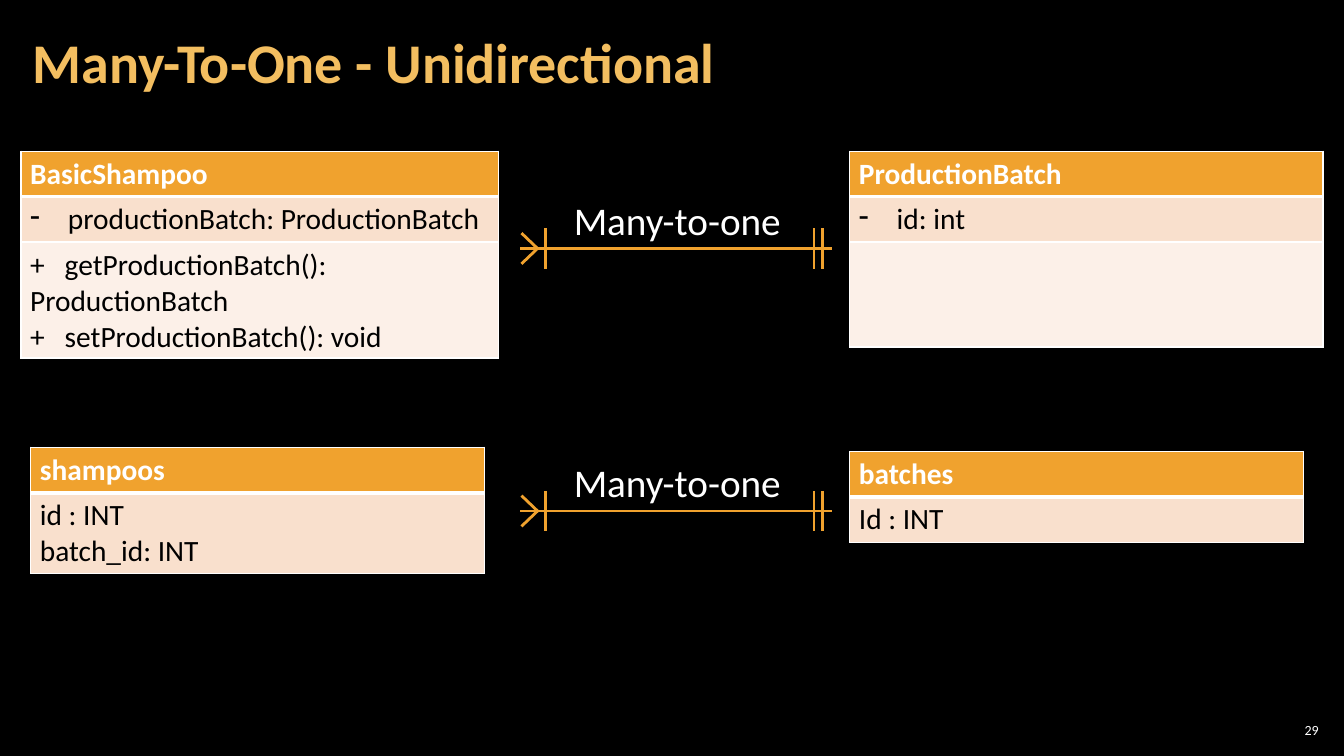
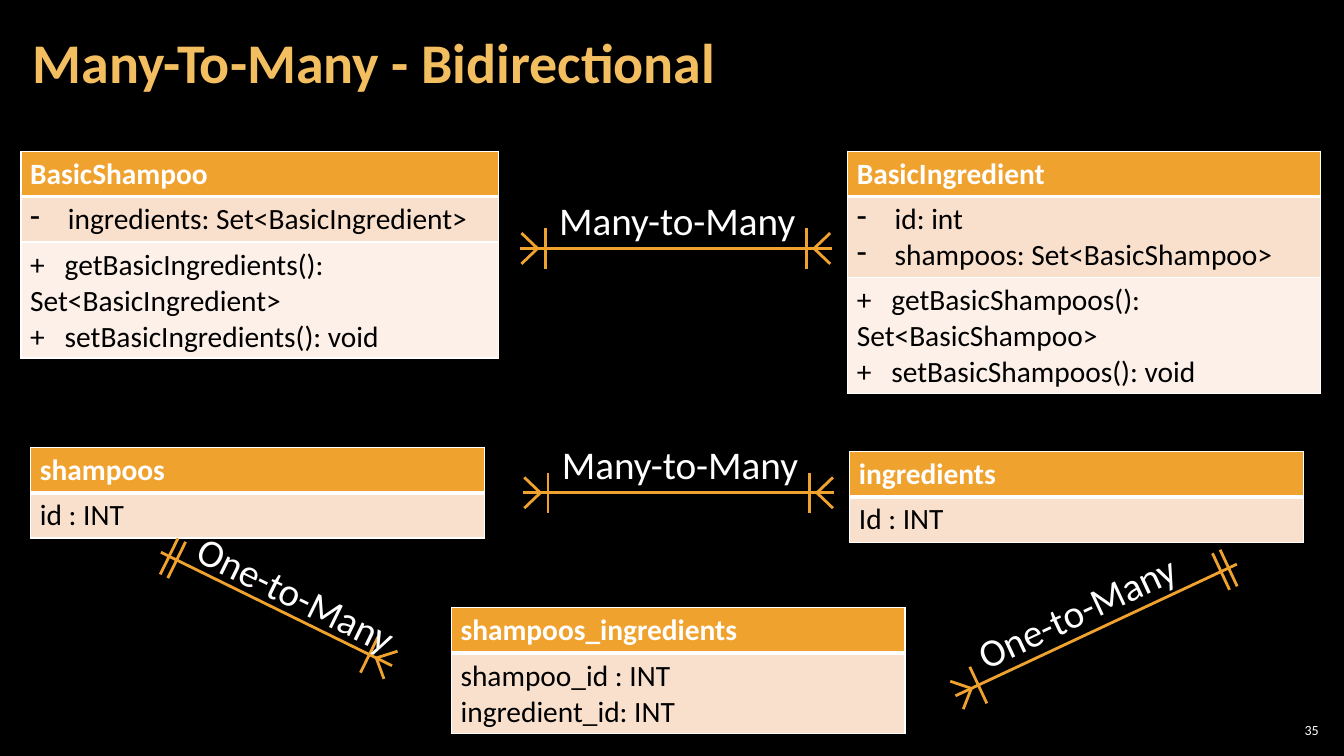
from math import atan2, cos, degrees, hypot, sin

from lxml.etree import SubElement
from pptx import Presentation
from pptx.dml.color import RGBColor
from pptx.enum.shapes import MSO_CONNECTOR as Connector
from pptx.enum.text import MSO_ANCHOR as Anchor, MSO_AUTO_SIZE as AutoSize, PP_ALIGN as Align
from pptx.oxml.ns import qn
from pptx.util import Pt

COLORS = {
    "background": "000000",
    "title": "F3BE60",
    "accent": "F0A22E",
    "fields": "F9E0CD",
    "methods": "FCF0E8",
    "light": "FFFFFF",
    "dark": "000000",
}
FONT = "Calibri"
ROW_FILLS = ("accent", "fields", "methods")
ROW_HEIGHTS = (30, 32.4, 75)


def rgb(name):
    return RGBColor.from_string(COLORS[name])


class Diagram:
    """Shared style and the slide being drawn; lengths are in points."""

    def __init__(self):
        self.deck = Presentation()
        self.deck.slide_width, self.deck.slide_height = Pt(960), Pt(540)
        backdrop = self.deck.slide_master.background.fill
        backdrop.solid()
        backdrop.fore_color.rgb = rgb("background")
        self.page = None

    def style(self, para, size, color, bold=False):
        font = para.font
        font.name, font.size, font.bold = FONT, Pt(size), bold
        font.color.rgb = rgb(color)

    def new_page(self, title, number):
        self.page = self.deck.slides.add_slide(self.deck.slide_layouts[5])
        box = self.page.shapes.title
        box.left, box.top, box.width, box.height = Pt(15), Pt(3), Pt(754), Pt(87)
        frame = box.text_frame
        frame.text = title
        frame.auto_size = AutoSize.NONE
        frame.vertical_anchor = Anchor.MIDDLE
        frame.margin_left = frame.margin_right = Pt(8.5)
        frame.margin_top = frame.margin_bottom = Pt(3)
        para = frame.paragraphs[0]
        para.alignment, para.line_spacing = Align.LEFT, 0.9
        self.style(para, 40, "title", True)
        self.text(str(number), 911, 514, 34, 15, 10, Align.RIGHT, 3)

    def text(self, words, left, top, width, height, size, align, margin):
        box = self.page.shapes.add_textbox(Pt(left), Pt(top), Pt(width), Pt(height))
        frame = box.text_frame
        frame.text = words
        frame.word_wrap = True
        frame.vertical_anchor = Anchor.MIDDLE
        frame.margin_left = frame.margin_right = Pt(margin)
        frame.margin_top = frame.margin_bottom = Pt(margin)
        para = frame.paragraphs[0]
        para.alignment = align
        self.style(para, size, "light")
        return box

    def line(self, start, end):
        points = [Pt(value) for value in (*start, *end)]
        link = self.page.shapes.add_connector(Connector.STRAIGHT, *points)
        link.line.color.rgb = rgb("accent")
        link.line.width = Pt(2)
        SubElement(link._element.spPr, qn("a:effectLst"))

    def entity(self, left, top, width, name, fields, methods=None):
        """A table with a name, fields and, for a class, its methods."""
        rows = [[name], fields] + ([] if methods is None else [methods])
        heights = ROW_HEIGHTS[:len(rows)]
        table = self.page.shapes.add_table(
            len(rows), 1, Pt(left), Pt(top), Pt(width), Pt(sum(heights))).table
        table.horz_banding = False
        for index, (lines, height) in enumerate(zip(rows, heights)):
            table.rows[index].height = Pt(height)
            cell = table.cell(index, 0)
            cell.margin_left = cell.margin_right = Pt(6.5)
            self.borders(cell, 3 if index == 1 else 1, 3 if index == 0 else 1)
            cell.fill.solid()
            cell.fill.fore_color.rgb = rgb(ROW_FILLS[index])
            for position, words in enumerate(lines):
                frame = cell.text_frame
                para = frame.add_paragraph() if position else frame.paragraphs[0]
                self.member(para, words)
                self.style(para, 21, "dark" if index else "light", index == 0)

    def member(self, para, words):
        """Turn a leading - into a bullet and set a tab after a leading +."""
        sign, _, rest = words.partition(" ")
        props = para._p.get_or_add_pPr()
        if sign == "-":
            props.set("marL", str(Pt(27)))
            props.set("indent", str(Pt(-27)))
            SubElement(props, qn("a:buChar"), char=sign)
            words = rest
        elif sign == "+":
            tabs = SubElement(props, qn("a:tabLst"))
            SubElement(tabs, qn("a:tab"), pos=str(Pt(24.75)), algn="l")
            words = f"{sign}\t{rest}"
        para.add_run().text = words

    def borders(self, cell, top, bottom):
        props = cell._tc.get_or_add_tcPr()
        for side, width in (("L", 1), ("R", 1), ("T", top), ("B", bottom)):
            edge = SubElement(props, qn(f"a:ln{side}"), w=str(Pt(width)))
            fill = SubElement(edge, qn("a:solidFill"))
            SubElement(fill, qn("a:srgbClr"), val=COLORS["light"])

    def relation(self, start, end, label, ends, shift=1, lift=20.5):
        """A crow's foot link, drawn left to right, with its label above."""
        (x1, y1), (x2, y2) = start, end
        length, angle = hypot(x2 - x1, y2 - y1), atan2(y2 - y1, x2 - x1)

        def spot(along, across):
            return (x1 + along * cos(angle) - across * sin(angle),
                    y1 + along * sin(angle) + across * cos(angle))

        self.line(start, end)
        for origin, inward, kind in zip((0, length), (1, -1), ends):
            for distance in (18,) if kind == "many" else (6.5, 12.5):
                along = origin + inward * distance
                self.line(spot(along, -14.4), spot(along, 14.4))
            if kind == "many":
                for side in (-11, 11):
                    self.line(spot(origin + inward * 12.5, 0), spot(origin + inward, side))
        x, y = spot(length / 2 + shift, -lift)
        box = self.text(label, x - 100, y - 20.5, 200, 41, 28, Align.CENTER, 3.6)
        box.rotation = degrees(angle)


def main():
    diagram = Diagram()
    many_to_one, many_to_many, one_to_many = ("many", "one"), ("many", "many"), ("one", "many")

    # Many-to-one: classes above, database tables below
    diagram.new_page("Many-To-One - Unidirectional", 29)
    diagram.entity(15, 108, 341, "BasicShampoo", ["- productionBatch: ProductionBatch"],
                   ["+ getProductionBatch(): ProductionBatch", "+ setProductionBatch(): void"])
    diagram.entity(607, 108, 338, "ProductionBatch", ["- id: int"], [])
    diagram.entity(22, 319.5, 324, "shampoos", ["id : INT", "batch_id: INT"])
    diagram.entity(607, 322.5, 324, "batches", ["Id : INT"])
    for y in (177.5, 365):
        diagram.relation((371.5, y), (594, y), "Many-to-one", many_to_one)

    # Many-to-many: classes above, database tables and join table below
    diagram.new_page("Many-To-Many - Bidirectional", 35)
    diagram.entity(15, 108, 341, "BasicShampoo", ["- ingredients: Set<BasicIngredient>"],
                   ["+ getBasicIngredients(): Set<BasicIngredient>", "+ setBasicIngredients(): void"])
    diagram.entity(605.5, 108, 338, "BasicIngredient",
                   ["- id: int", "- shampoos: Set<BasicShampoo>"],
                   ["+ getBasicShampoos(): Set<BasicShampoo>", "+ setBasicShampoos(): void"])
    diagram.entity(22, 319.5, 324, "shampoos", ["id : INT"])
    diagram.entity(607, 322.5, 324, "ingredients", ["Id : INT"])
    diagram.entity(322.5, 434, 324, "shampoos_ingredients", ["shampoo_id : INT", "ingredient_id: INT"])
    for x, y in ((371.5, 177.5), (373.5, 352)):
        diagram.relation((x, y), (x + 222.5, y), "Many-to-Many", many_to_many)
    diagram.relation((115, 394.5), (280, 475.5), "One-to-Many", one_to_many, 8, 16)
    diagram.relation((682.5, 497), (883.5, 403), "One-to-Many", many_to_one, -7, 18.5)

    diagram.deck.save("out.pptx")


if __name__ == "__main__":
    main()
